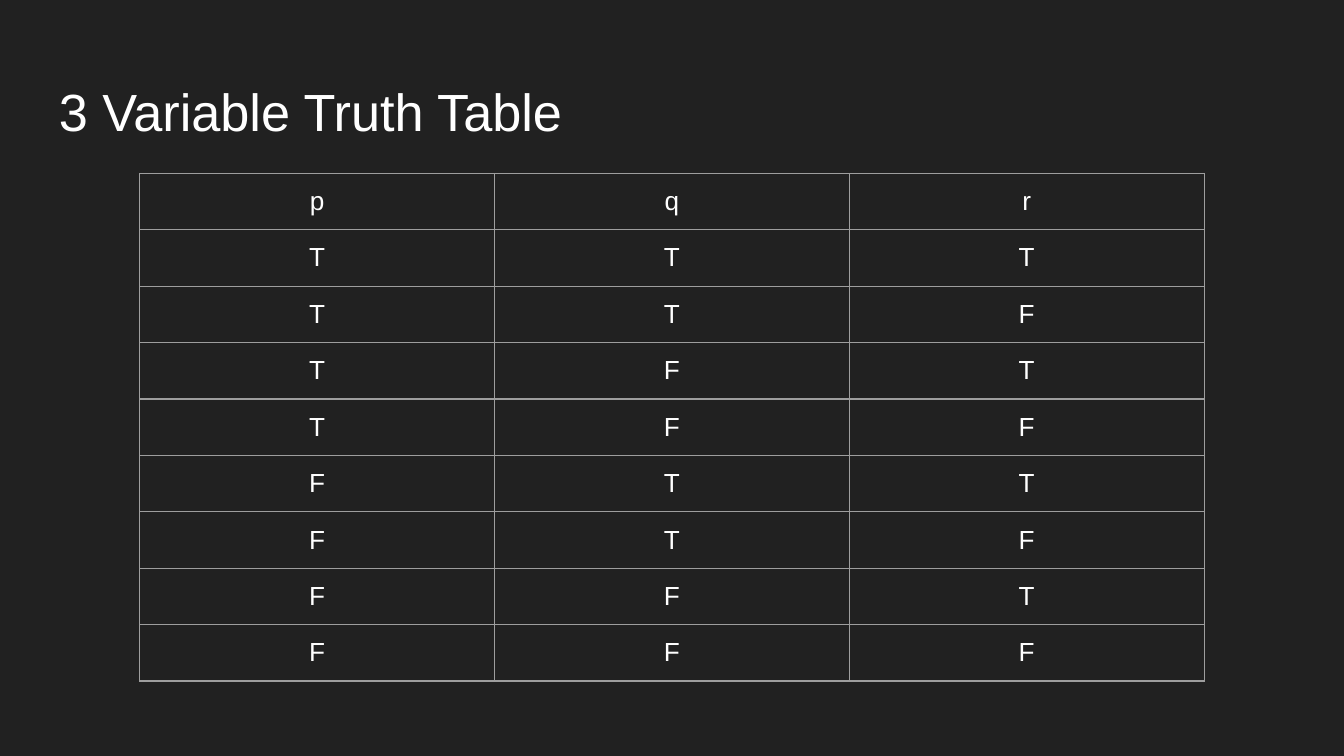
from dataclasses import dataclass
from itertools import product

from lxml.etree import SubElement
from pptx import Presentation
from pptx.dml.color import RGBColor as RGB
from pptx.enum.text import MSO_ANCHOR as Anchor, PP_ALIGN as Align
from pptx.oxml.ns import qn
from pptx.util import Inches, Pt


@dataclass(frozen=True)
class Theme:
    font: str = "Arial"
    background: str = "212121"
    text: str = "FFFFFF"
    border: str = "9E9E9E"
    border_width: float = 0.75
    title_size: int = 28
    cell_size: int = 14
    inset: float = 0.1
    bottom_inset: float = 0.08


@dataclass(frozen=True)
class Grid:
    left: float
    top: float
    col_width: float
    row_height: float


THEME = Theme()
WIDTH = 10
HEIGHT = WIDTH * 9 / 16
TITLE_BOX = (0.34, 0.49, 9.32, 0.63)
GRID = Grid(left=1.04, top=1.29, col_width=2.64, row_height=0.42)
VARIABLES = ("p", "q", "r")


def write(tf, text: str, *, size: int, align=Align.LEFT) -> None:
    p = tf.paragraphs[0]
    p.alignment = align
    r = p.add_run()
    r.text = text
    r.font.name = THEME.font
    r.font.size = Pt(size)
    r.font.color.rgb = RGB.from_string(THEME.text)


def set_insets(box) -> None:
    box.margin_left = box.margin_right = box.margin_top = Inches(THEME.inset)
    box.margin_bottom = Inches(THEME.bottom_inset)


def add_title(s, text: str) -> None:
    tf = s.shapes.add_textbox(*map(Inches, TITLE_BOX)).text_frame
    tf.word_wrap = True
    tf.vertical_anchor = Anchor.TOP
    set_insets(tf)
    write(tf, text, size=THEME.title_size)


def add_borders(cell) -> None:
    tc_pr = cell._tc.get_or_add_tcPr()
    for side in ("a:lnL", "a:lnR", "a:lnT", "a:lnB"):
        ln = SubElement(tc_pr, qn(side), w=str(Pt(THEME.border_width)))
        fill = SubElement(ln, qn("a:solidFill"))
        SubElement(fill, qn("a:srgbClr"), val=THEME.border)


def format_cell(cell, text: str) -> None:
    set_insets(cell)
    add_borders(cell)
    cell.fill.background()
    write(cell.text_frame, text, size=THEME.cell_size, align=Align.CENTER)


def add_truth_table(s, variables: tuple[str, ...], grid: Grid) -> None:
    """Draw a header of variables above every combination of T and F."""
    rows = [variables, *product("TF", repeat=len(variables))]
    table = s.shapes.add_table(
        len(rows), len(variables), Inches(grid.left), Inches(grid.top),
        Inches(grid.col_width * len(variables)),
        Inches(grid.row_height * len(rows)),
    ).table
    table.first_row = table.horz_banding = False
    for col in table.columns:
        col.width = Inches(grid.col_width)
    for row, values in zip(table.rows, rows):
        row.height = Inches(grid.row_height)
        for cell, value in zip(row.cells, values):
            format_cell(cell, value)


def main() -> None:
    prs = Presentation()
    prs.slide_width, prs.slide_height = Inches(WIDTH), Inches(HEIGHT)
    s = prs.slides.add_slide(prs.slide_layouts[6])
    s.background.fill.solid()
    s.background.fill.fore_color.rgb = RGB.from_string(THEME.background)
    add_title(s, "3 Variable Truth Table")
    add_truth_table(s, VARIABLES, GRID)
    prs.save("out.pptx")


if __name__ == "__main__":
    main()
